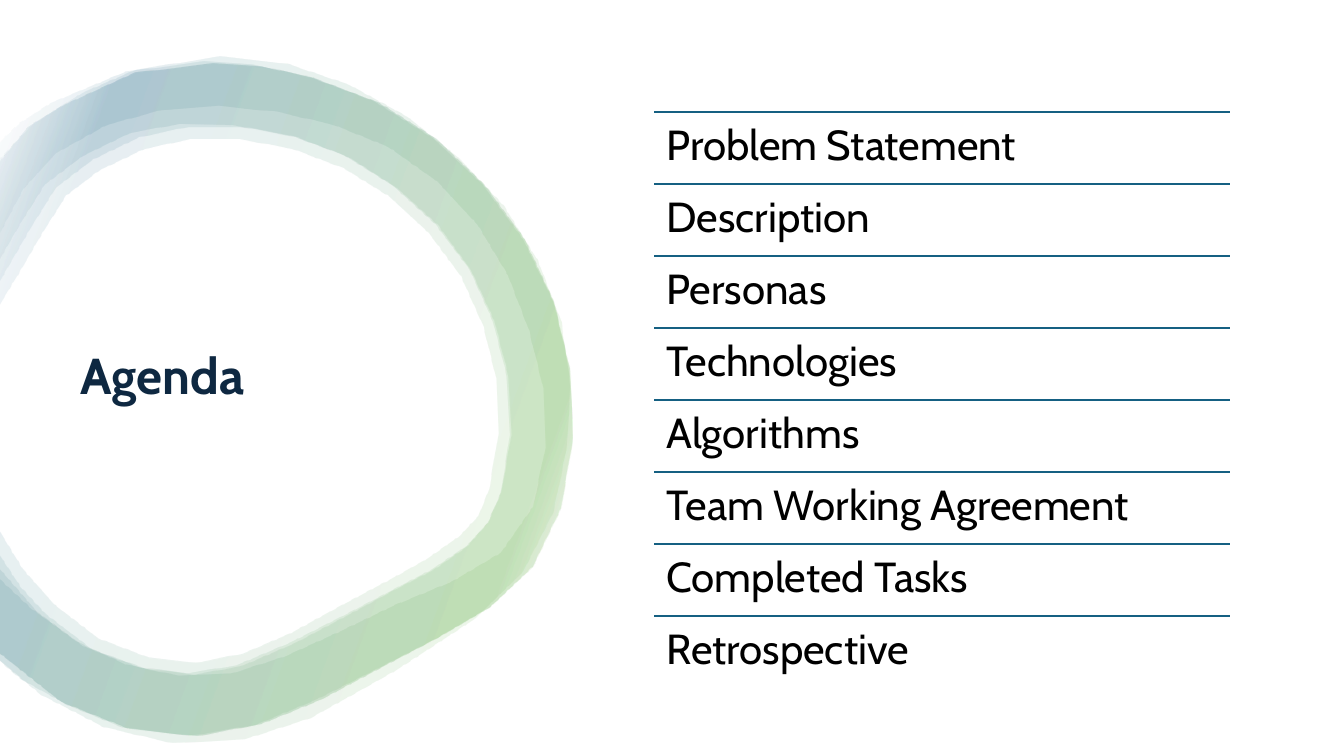
"""Build an agenda slide with a soft ring beside a ruled list."""
from lxml import etree
from pptx import Presentation
from pptx.dml.color import RGBColor
from pptx.enum.shapes import MSO_CONNECTOR
from pptx.enum.text import MSO_ANCHOR, PP_ALIGN
from pptx.oxml import parse_xml
from pptx.oxml.ns import nsdecls, qn
from pptx.util import Inches, Pt

STRAIGHT = MSO_CONNECTOR.STRAIGHT
MIDDLE, TOP = MSO_ANCHOR.MIDDLE, MSO_ANCHOR.TOP
LEFT = PP_ALIGN.LEFT

WHITE = RGBColor(0xFF, 0xFF, 0xFF)
BLACK = RGBColor(0x00, 0x00, 0x00)
NAVY = RGBColor(0x0E, 0x28, 0x41)
BLUE = RGBColor(0x15, 0x60, 0x82)
GREEN = RGBColor(0x4E, 0xA7, 0x2E)

HEAD = {"name": "Cabin", "size": Pt(36), "bold": True}
ITEM = {"name": "Cabin", "size": Pt(30), "bold": False}
PAD = {"margin_left": Inches(0.12), "margin_right": Inches(0.12),
       "margin_top": Inches(0.12), "margin_bottom": Inches(0.12)}
STOPS = [(2, WHITE), (16, GREEN), (85, BLUE), (100, WHITE)]
TOPICS = ["Problem Statement", "Description", "Personas", "Technologies",
          "Algorithms", "Team Working Agreement", "Completed Tasks",
          "Retrospective"]

OUTER_A = [
    (-0.02, 1.6), (0.33, 1.23), (0.82, 0.92), (1.35, 0.69), (2.18, 0.56),
    (2.84, 0.63), (3.46, 0.84), (4.04, 1.16), (4.55, 1.57), (4.99, 2.04),
    (5.33, 2.59), (5.56, 3.19), (5.65, 3.83), (5.61, 4.46), (5.48, 5.08),
    (5.18, 5.67), (4.7, 6.14), (3.92, 6.65), (3.08, 7.12), (2.43, 7.33),
    (1.71, 7.37), (1.03, 7.21), (0.41, 6.89), (-0.02, 6.53)]
INNER_A = [
    (-0.02, 5.72), (0.31, 6.03), (0.76, 6.36), (1.25, 6.59), (1.77, 6.7),
    (2.29, 6.68), (2.82, 6.51), (3.35, 6.27), (3.91, 6), (4.47, 5.77),
    (4.96, 5.48), (5.28, 5.02), (5.4, 4.44), (5.38, 3.85), (5.24, 3.28),
    (5.03, 2.73), (4.73, 2.23), (4.33, 1.8), (3.85, 1.46), (3.31, 1.24),
    (2.75, 1.11), (2.17, 1.05), (1.61, 1.09), (1.06, 1.24), (0.56, 1.52),
    (0.24, 1.87), (-0.02, 2.36)]
OUTER_B = [
    (-0.02, 1.43), (0.2, 1.22), (0.51, 1.02), (1.25, 0.71), (2.02, 0.61),
    (2.51, 0.64), (3.03, 0.75), (3.7, 1), (4.29, 1.37), (4.78, 1.83),
    (5.18, 2.37), (5.48, 2.99), (5.64, 3.65), (5.68, 4.34), (5.56, 5.04),
    (5.28, 5.62), (4.85, 6.02), (4.32, 6.33), (3.73, 6.63), (3.14, 6.93),
    (2.54, 7.18), (1.9, 7.29), (1.22, 7.21), (0.68, 6.99), (0.21, 6.73),
    (-0.02, 6.53)]
INNER_B = [
    (-0.02, 5.61), (0.37, 6.06), (0.84, 6.41), (1.38, 6.61), (1.86, 6.67),
    (2.35, 6.59), (2.89, 6.36), (3.42, 6.09), (3.88, 5.85), (4.28, 5.64),
    (4.62, 5.41), (4.83, 5.18), (4.96, 4.88), (5.05, 4.31), (5.02, 3.73),
    (4.88, 3.18), (4.65, 2.67), (4.31, 2.22), (3.89, 1.84), (3.41, 1.54),
    (2.87, 1.34), (2.31, 1.24), (1.78, 1.23), (1.29, 1.32), (0.82, 1.55),
    (0.45, 1.83), (0.2, 2.23), (-0.02, 2.61)]
OUTER_C = [
    (-0.02, 1.63), (0.28, 1.26), (0.62, 1.05), (1.34, 0.72), (2.11, 0.63),
    (2.6, 0.66), (3.1, 0.77), (3.76, 1.02), (4.33, 1.38), (4.81, 1.84),
    (5.2, 2.37), (5.49, 2.99), (5.65, 3.65), (5.68, 4.34), (5.56, 5.04),
    (5.28, 5.62), (4.86, 6.02), (4.33, 6.33), (3.76, 6.63), (3.18, 6.94),
    (2.59, 7.18), (1.96, 7.3), (1.29, 7.23), (0.61, 6.96), (-0.02, 6.46)]
INNER_C = [
    (-0.02, 5.23), (0.23, 5.64), (0.55, 6), (0.98, 6.33), (1.48, 6.52),
    (1.95, 6.57), (2.41, 6.48), (2.88, 6.28), (3.39, 6), (3.86, 5.75),
    (4.22, 5.55), (4.55, 5.32), (4.74, 5.12), (4.85, 4.85), (4.94, 4.3),
    (4.92, 3.75), (4.79, 3.23), (4.57, 2.74), (4.25, 2.31), (3.86, 1.95),
    (3.41, 1.67), (2.91, 1.48), (2.38, 1.38), (1.89, 1.38), (1.43, 1.48),
    (0.99, 1.69), (0.66, 1.94), (0.42, 2.32), (0.21, 2.68), (-0.02, 3.06)]
INNER_D = [
    (-0.02, 5.47), (0.21, 5.82), (0.46, 6.09), (0.92, 6.44), (1.45, 6.63),
    (1.93, 6.69), (2.41, 6.6), (2.94, 6.37), (3.45, 6.1), (3.91, 5.85),
    (4.3, 5.65), (4.63, 5.42), (4.84, 5.18), (4.97, 4.88), (5.07, 4.31),
    (5.04, 3.73), (4.9, 3.18), (4.67, 2.68), (4.34, 2.23), (3.93, 1.86),
    (3.46, 1.56), (2.94, 1.36), (2.39, 1.26), (1.87, 1.26), (1.39, 1.36),
    (0.93, 1.58), (0.56, 1.86), (0.31, 2.26), (-0.02, 2.83)]
BANDS = [(OUTER_A, INNER_A), (OUTER_B, INNER_B),
         (OUTER_C, INNER_C), (OUTER_C, INNER_D)]


def apply(target, values):
    """Set each named value on the target."""
    for name, value in values.items():
        setattr(target, name, value)


def tint(shape):
    """Fill the shape with the faint slanted gradient."""
    shape.fill.background()
    stops = "".join(
        f'<a:gs pos="{pos * 1000}"><a:srgbClr val="{color}">'
        '<a:alpha val="10000"/></a:srgbClr></a:gs>' for pos, color in STOPS)
    grad = parse_xml(
        f'<a:gradFill {nsdecls("a")} rotWithShape="1"><a:gsLst>{stops}</a:gsLst>'
        f'<a:lin ang="{200 * 60000}" scaled="0"/></a:gradFill>')
    props = shape.element.spPr
    props.replace(props.find(qn("a:noFill")), grad)


def add_ring(slide, left, top):
    """Stack the faint bands of the ring from the given corner."""
    for outer, inner in BANDS:
        dots = [(Inches(left + x), Inches(top + y)) for x, y in outer + inner]
        pen = slide.shapes.build_freeform(*dots[0])
        pen.add_line_segments(dots[1:], close=True)
        band = pen.convert_to_shape()
        band.shadow.inherit = False
        band.line.fill.background()
        tint(band)


def write(frame, text, font, color, anchor):
    """Put one formatted line of text in the frame."""
    apply(frame, {"text": text, "word_wrap": True, "vertical_anchor": anchor})
    para = frame.paragraphs[0]
    apply(para, {"alignment": LEFT, "line_spacing": 0.9})
    apply(para.font, font)
    para.font.color.rgb = color


def add_title(slide, left, top, width, height):
    """Place the slide title in its box."""
    title = slide.shapes.title
    apply(title, {"left": Inches(left), "top": Inches(top),
                  "width": Inches(width), "height": Inches(height)})
    write(title.text_frame, "Agenda", HEAD, NAVY, MIDDLE)


def add_list(slide, left, top, width, height):
    """Share the box among the topics, each under a rule."""
    row = height / len(TOPICS)
    for index, topic in enumerate(TOPICS):
        y = Inches(top + index * row)
        rule = slide.shapes.add_connector(
            STRAIGHT, Inches(left), y, Inches(left + width), y)
        rule.line.color.rgb = BLUE
        rule.line.width = Pt(1.5)
        etree.SubElement(rule.element.spPr, qn("a:effectLst"))
        box = slide.shapes.add_textbox(
            Inches(left), y, Inches(width), Inches(row))
        apply(box.text_frame, PAD)
        write(box.text_frame, topic, ITEM, BLACK, TOP)


def main():
    """Build and save the agenda slide."""
    deck = Presentation()
    apply(deck, {"slide_width": Inches(13.33), "slide_height": Inches(7.5)})
    slide = deck.slides.add_slide(deck.slide_layouts[5])
    slide.background.fill.solid()
    slide.background.fill.fore_color.rgb = WHITE
    add_ring(slide, 0, 0)
    add_title(slide, 0.7, 1.36, 4.22, 4.78)
    add_list(slide, 6.49, 1.11, 5.71, 5.72)
    deck.save("out.pptx")


if __name__ == "__main__":
    main()
